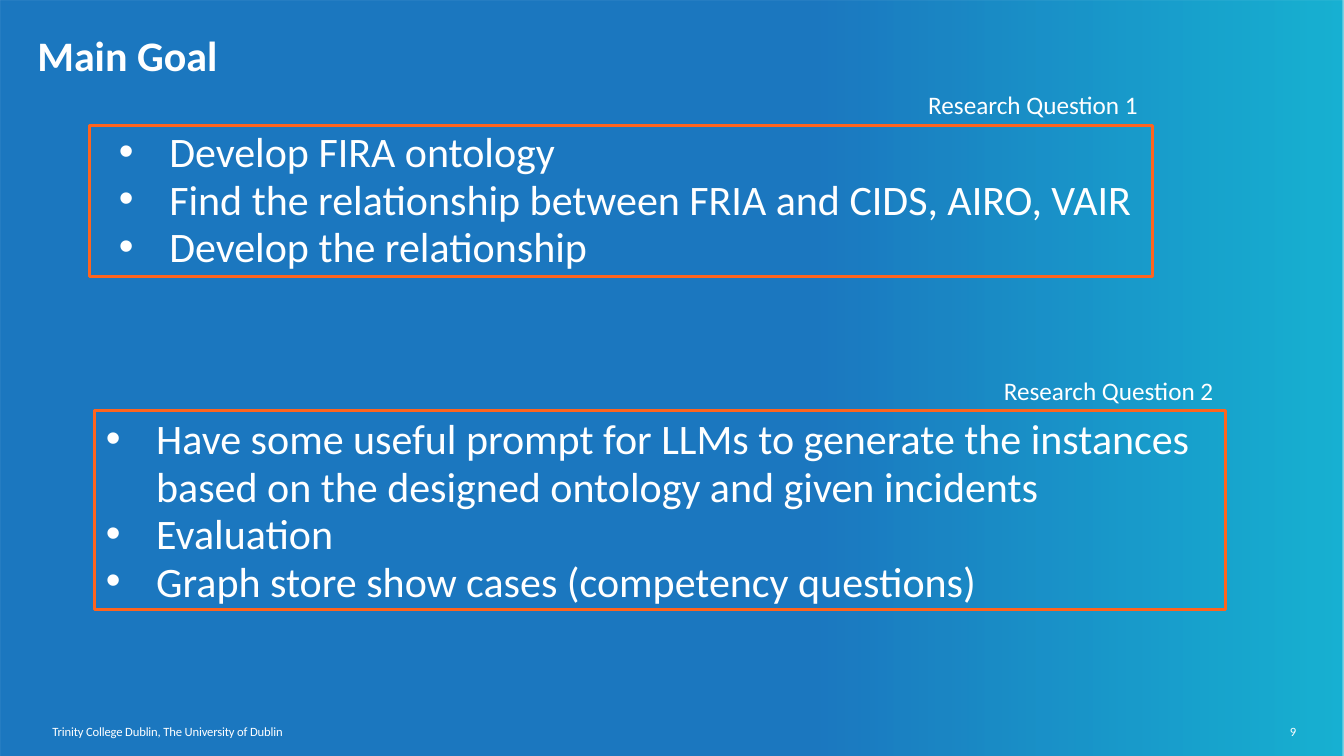
from dataclasses import dataclass

from lxml.etree import SubElement
from pptx import Presentation
from pptx.dml.color import RGBColor
from pptx.enum.shapes import MSO_SHAPE
from pptx.enum.text import MSO_ANCHOR, MSO_AUTO_SIZE, PP_ALIGN
from pptx.oxml.ns import qn
from pptx.util import Inches, Pt

COLORS = {"text": "FFFFFF", "frame": "FF641E", "left": "0569B9", "right": "00AACD"}
FONT = "Calibri"
WIDTH, HEIGHT = 13.33, 7.5
COLS, ROWS = 160, 90  # grid cells of 1/12 inch
LINE = Pt(34)


@dataclass(frozen=True)
class Box:
    """Place on the slide, in columns and rows of the grid."""
    col: float
    row: float
    cols: float
    rows: float

    def emu(self) -> tuple:
        x, y = Inches(WIDTH) / COLS, Inches(HEIGHT) / ROWS
        return (round(self.col * x), round(self.row * y),
                round(self.cols * x), round(self.rows * y))


@dataclass(frozen=True)
class Question:
    label: str
    label_box: Box
    frame_box: Box
    list_box: Box
    goals: tuple


QUESTIONS = (
    Question("Research Question 1", Box(109.32, 10.08, 27.72, 4.8),
             Box(10.68, 14.95, 126.48, 18), Box(14.16, 15.3, 123, 17.64),
             ("Develop FIRA ontology",
              "Find the relationship between FRIA and CIDS, AIRO, VAIR",
              "Develop the relationship")),
    Question("Research Question 2", Box(118.32, 44.04, 30.36, 4.8),
             Box(11.28, 48.9, 134.64, 23.64), Box(12.6, 49.44, 133.32, 23.64),
             ("Have some useful prompt for LLMs to generate the instances "
              "based on the designed ontology and given incidents",
              "Evaluation",
              "Graph store show cases (competency questions)")),
)


def rgb(name: str) -> RGBColor:
    return RGBColor.from_string(COLORS[name])


def setup_frame(tf, inset: bool = False, wrap: bool = True) -> None:
    tf.word_wrap = wrap
    tf.auto_size = MSO_AUTO_SIZE.NONE
    tf.vertical_anchor = MSO_ANCHOR.TOP
    if not inset:
        tf.margin_left = tf.margin_right = tf.margin_top = tf.margin_bottom = 0


def add_run(p, text: str, size: float, bold: bool = False):
    r = p.add_run()
    r.text = text
    r.font.name, r.font.size, r.font.bold = FONT, Pt(size), bold
    r.font.color.rgb = rgb("text")
    return r


def add_text(s, box: Box, text: str, size: float, inset: bool = False,
             wrap: bool = True):
    tf = s.shapes.add_textbox(*box.emu()).text_frame
    setup_frame(tf, inset, wrap)
    add_run(tf.paragraphs[0], text, size)
    return tf


def add_rect(s, box: Box):
    sp = s.shapes.add_shape(MSO_SHAPE.RECTANGLE, *box.emu())
    sp.shadow.inherit = False
    return sp


def add_backdrop(s) -> None:
    sp = add_rect(s, Box(0, 0, COLS, ROWS))
    sp.line.fill.background()
    sp.fill.gradient()
    sp.fill.gradient_angle = 0
    for stop, position, name in zip(sp.fill.gradient_stops, (0.6, 1), ("left", "right")):
        stop.position = position
        stop.color.rgb = rgb(name)
    for color in sp.element.spPr.iter(qn("a:srgbClr")):
        SubElement(color, qn("a:alpha"), val="90000")
    s.shapes.element.insert(2, sp.element)  # behind the title


def add_title(s, box: Box, text: str) -> None:
    sp = s.shapes.title
    sp.left, sp.top, sp.width, sp.height = box.emu()
    setup_frame(sp.text_frame)
    p = sp.text_frame.paragraphs[0]
    p.alignment, p.line_spacing = PP_ALIGN.LEFT, LINE
    add_run(p, text, 30, bold=True)


def add_goals(s, box: Box, goals: tuple) -> None:
    tf = s.shapes.add_textbox(*box.emu()).text_frame
    setup_frame(tf)
    for i, goal in enumerate(goals):
        p = tf.add_paragraph() if i else tf.paragraphs[0]
        p.line_spacing = LINE
        pPr = p._p.get_or_add_pPr()
        pPr.set("marL", str(Inches(0.5)))
        pPr.set("indent", str(-Inches(0.5)))
        SubElement(pPr, qn("a:buFont"), typeface="Arial")
        SubElement(pPr, qn("a:buChar"), char="•")
        add_run(p, goal, 30)


def add_question(s, question: Question) -> None:
    frame = add_rect(s, question.frame_box)
    frame.fill.background()
    frame.line.color.rgb = rgb("frame")
    frame.line.width = Pt(2)
    add_text(s, question.label_box, question.label, 18, inset=True)
    add_goals(s, question.list_box, question.goals)


def main() -> None:
    prs = Presentation()
    prs.slide_width, prs.slide_height = Inches(WIDTH), Inches(HEIGHT)
    s = prs.slides.add_slide(prs.slide_layouts[5])

    # Background and title
    add_backdrop(s)
    add_title(s, Box(4.44, 3.84, 93.12, 27.72), "Main Goal")

    # Research questions
    for question in QUESTIONS:
        add_question(s, question)

    # Footer, set slightly tight, and slide number
    footer = add_text(s, Box(6.24, 86.16, 28.68, 1.8),
                      "Trinity College Dublin, The University of Dublin", 9, wrap=False)
    footer.paragraphs[0].runs[0]._r.get_or_add_rPr().set("spc", "-10")
    number = add_text(s, Box(150.48, 85.44, 3.84, 2.52), "9", 9)
    number.vertical_anchor = MSO_ANCHOR.BOTTOM
    number.paragraphs[0].alignment = PP_ALIGN.RIGHT

    prs.save("out.pptx")


if __name__ == "__main__":
    main()
